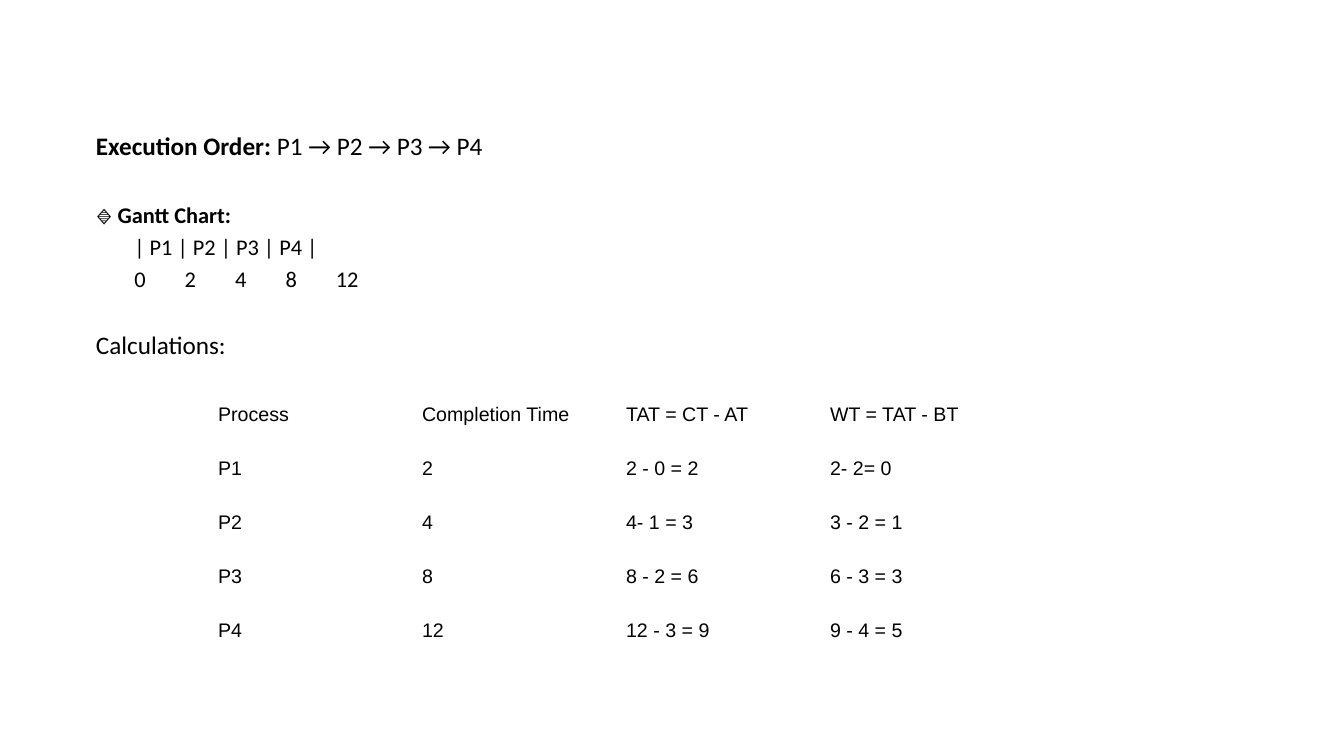
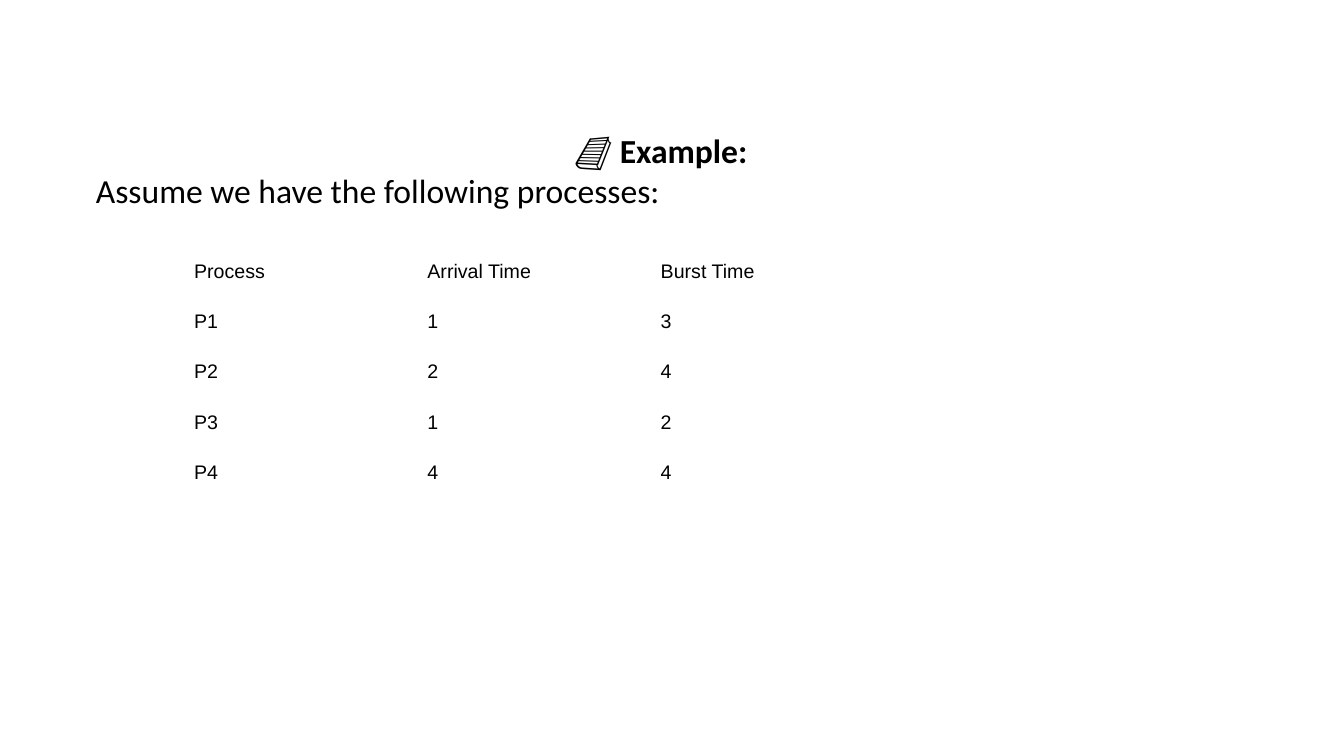
"""Build two slides on process scheduling: text notes above plain tables."""
from dataclasses import dataclass

from lxml.etree import SubElement
from pptx import Presentation
from pptx.dml.color import RGBColor
from pptx.enum.text import MSO_ANCHOR
from pptx.oxml.ns import qn
from pptx.util import Pt

EMU_PER_PX = 12192000 / 1344
COLORS = {"text": "000000", "background": "FFFFFF"}
BODY_FONT, TABLE_FONT = "Calibri", "Arial"
BODY_BOX = (74, 125, 1196, 552)
BODY_INDENT = 12
GANTT_TABS = (83, 129, 166, 207, 259)


@dataclass(frozen=True)
class Span:
    text: str
    bold: bool = False


@dataclass(frozen=True)
class Line:
    spans: tuple[Span, ...]
    size: int
    before: float = 3.6
    indent: int = BODY_INDENT
    tabs: tuple[int, ...] = ()


@dataclass(frozen=True)
class Grid:
    box: tuple[int, int, int, int]
    rows: tuple[tuple[str, ...], ...]


@dataclass(frozen=True)
class Page:
    lines: tuple[Line, ...]
    grid: Grid


PAGES = (
    Page(
        (
            Line((Span("Execution Order:", True), Span(" P1 → P2 → P3 → P4")), 18, before=0),
            Line((Span("🔹 "), Span("Gantt Chart:", True)), 16, before=29.2),
            Line((Span("\t| P1 | P2 | P3 | P4 |"),), 16, indent=0, tabs=GANTT_TABS),
            Line((Span("\t0\t2\t4\t8\t12"),), 16, indent=0, tabs=GANTT_TABS),
            Line((Span("Calculations:"),), 18, before=26.7),
        ),
        Grid(
            (208, 388, 816, 270),
            (
                ("Process", "Completion Time", "TAT = CT - AT", "WT = TAT - BT"),
                ("P1", "2", "2 - 0 = 2", "2- 2= 0"),
                ("P2", "4", "4- 1 = 3", "3 - 2 = 1"),
                ("P3", "8", "8 - 2 = 6", "6 - 3 = 3"),
                ("P4", "12", "12 - 3 = 9", "9 - 4 = 5"),
            ),
        ),
    ),
    Page(
        (
            Line((Span("📘 Example:", True),), 24, before=0, indent=491),
            Line((Span("Assume we have the following processes:"),), 24, before=0),
        ),
        Grid(
            (184, 246, 700, 252),
            (
                ("Process", "Arrival Time", "Burst Time"),
                ("P1", "1", "3"),
                ("P2", "2", "4"),
                ("P3", "1", "2"),
                ("P4", "4", "4"),
            ),
        ),
    ),
)


def px(value: int) -> int:
    return round(value * EMU_PER_PX)


def add_run(p, text: str, *, size: int, font: str, bold: bool = False) -> None:
    r = p.add_run()
    r.text = text
    r.font.size = Pt(size)
    r.font.name = font
    r.font.bold = bold
    r.font.color.rgb = RGBColor.from_string(COLORS["text"])


def format_line(p, line: Line) -> None:
    p.space_before = Pt(line.before)
    pPr = p._p.get_or_add_pPr()
    pPr.set("marL", str(px(line.indent)))
    pPr.set("indent", "0")
    if line.tabs:
        tab_list = SubElement(pPr, qn("a:tabLst"))
        for stop in line.tabs:
            SubElement(tab_list, qn("a:tab"), pos=str(px(stop)), algn="l")


def add_body(s, lines: tuple[Line, ...]) -> None:
    tf = s.shapes.add_textbox(*map(px, BODY_BOX)).text_frame
    tf.word_wrap = True
    for i, line in enumerate(lines):
        p = tf.add_paragraph() if i else tf.paragraphs[0]
        format_line(p, line)
        for span in line.spans:
            add_run(p, span.text, size=line.size, font=BODY_FONT, bold=span.bold)


def add_grid(s, grid: Grid) -> None:
    size = len(grid.rows), len(grid.rows[0])
    table = s.shapes.add_table(*size, *map(px, grid.box)).table
    table.first_row = table.horz_banding = False
    for row, texts in zip(table.rows, grid.rows):
        for cell, text in zip(row.cells, texts):
            cell.fill.background()
            cell.vertical_anchor = MSO_ANCHOR.MIDDLE
            add_run(cell.text_frame.paragraphs[0], text, size=14, font=TABLE_FONT)


def add_page(prs, page: Page) -> None:
    s = prs.slides.add_slide(prs.slide_layouts[6])
    s.background.fill.solid()
    s.background.fill.fore_color.rgb = RGBColor.from_string(COLORS["background"])
    add_body(s, page.lines)
    add_grid(s, page.grid)


def main() -> None:
    prs = Presentation()
    prs.slide_width, prs.slide_height = px(1344), px(756)
    for page in PAGES:
        add_page(prs, page)
    prs.save("out.pptx")


if __name__ == "__main__":
    main()
